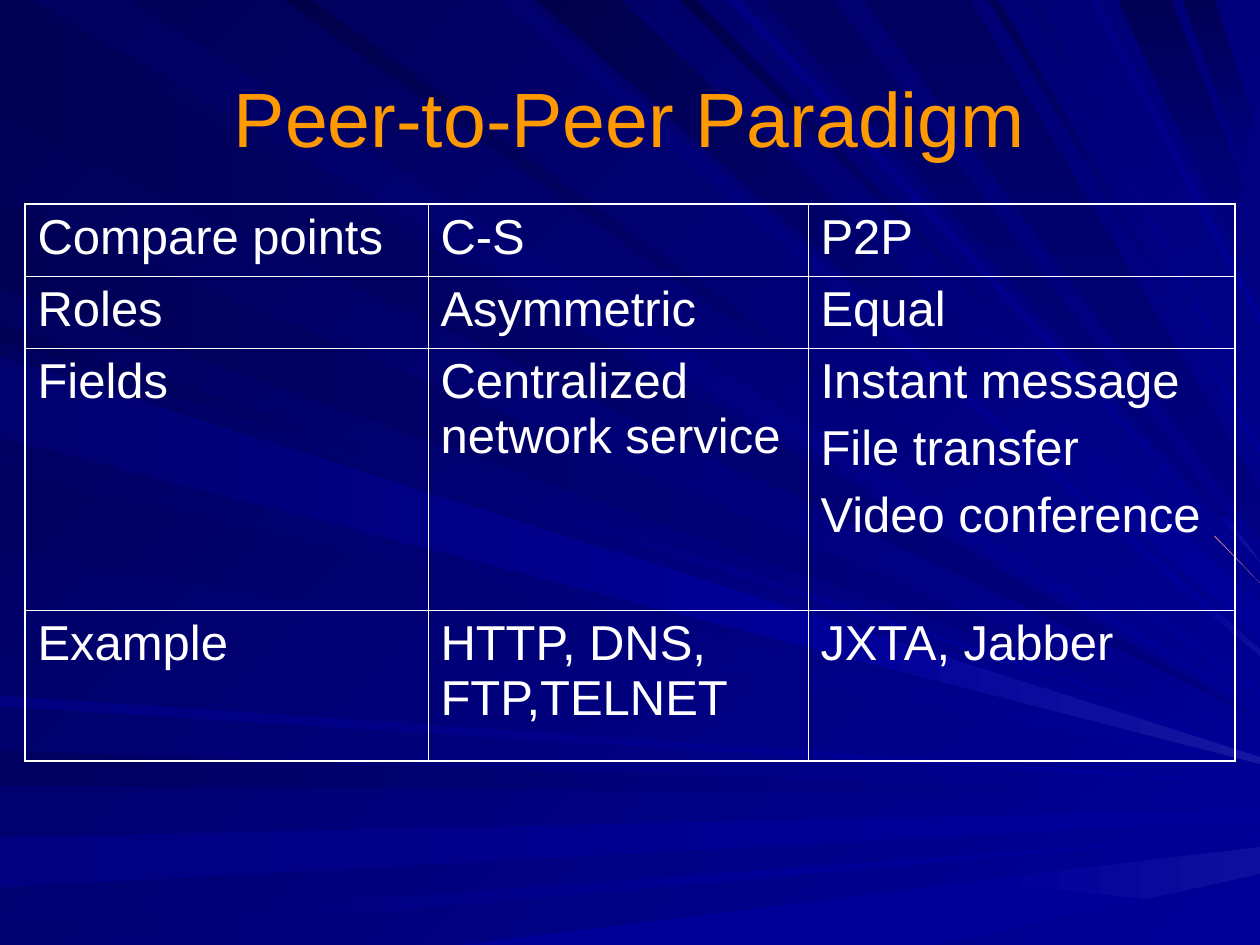
from lxml import etree
from pptx import Presentation
from pptx import util as u
from pptx.dml.color import RGBColor
from pptx.enum import text
from pptx.oxml.ns import qn

SCALE = 914400 / 126  # EMU in one px
WIDTH, HEIGHT = 1260, 945
FONT = "Arial"

WHITE = RGBColor.from_string("FFFFFF")
ORANGE = RGBColor.from_string("FF9900")
PINK = RGBColor.from_string("FF9999")
ROYAL = RGBColor.from_string("000099")
NAVY = RGBColor.from_string("000080")
MEDIUM = RGBColor.from_string("00006E")
DIM = RGBColor.from_string("00005E")
DARK = RGBColor.from_string("000055")
DARKEST = RGBColor.from_string("00004A")
GLOW = RGBColor.from_string("1616A1")
SOFT_GLOW = RGBColor.from_string("0E0E9E")

# Gradient directions, counter-clockwise degrees
TO_LEFT, TO_TOP_LEFT, DOWN = 180, 135, 270

# Share of a ray's length at which its tip begins
LONG_TIP, TIP, SHORT_TIP = 0.65, 0.82, 0.92

# Each ray: the edge it leaves, its two ends there, its two ends on the right
# edge, its fill, and for some where the tip begins and the fill of the tip
RAYS = [
    ("left", (3, 117), (717, 718), (NAVY, DARK, TO_LEFT)),
    ("top", (127, 33), (708, 709), (ROYAL, DIM, TO_TOP_LEFT)),
    ("left", (751, 785), (795, 796), (NAVY, DIM, TO_LEFT),
     LONG_TIP, (ROYAL, NAVY, TO_LEFT)),
    ("left", (838, 887), (810, 820), (ROYAL, NAVY, TO_LEFT), TIP, ROYAL),
    ("left", (926, 945), (834, 834), (ROYAL, MEDIUM, TO_LEFT), LONG_TIP, ROYAL),
    ("bottom", (459, 935), (847, 874), ROYAL, LONG_TIP, (SOFT_GLOW, ROYAL, TO_LEFT)),
    ("left", (325, 340), (742, 742), (ROYAL, DARK, TO_TOP_LEFT), TIP, ROYAL),
    ("left", (200, 287), (736, 737), (NAVY, DARK, TO_LEFT),
     TIP, (ROYAL, NAVY, TO_LEFT)),
    ("top", (524, 501), (649, 656), (ROYAL, MEDIUM, TO_TOP_LEFT),
     SHORT_TIP, (SOFT_GLOW, ROYAL, TO_TOP_LEFT)),
    ("top", (620, 537), (604, 639), (ROYAL, DARKEST, TO_TOP_LEFT), SHORT_TIP, ROYAL),
    ("top", (696, 680), (583, 583), (ROYAL, DARKEST, TO_TOP_LEFT), SHORT_TIP, PINK),
    ("top", (833, 764), (561, 562), (DIM, NAVY, DOWN),
     SHORT_TIP, (GLOW, ROYAL, TO_TOP_LEFT)),
    ("top", (1172, 1118), (231, 299), (DARK, NAVY, DOWN), TIP, NAVY),
    ("top", (1215, 1183), (144, 210), (DARK, NAVY, DOWN), TIP, NAVY),
    ("left", (350, 431), (751, 759), (ROYAL, DIM, TO_TOP_LEFT)),
    ("left", (471, 551), (762, 764), (ROYAL, DIM, TO_TOP_LEFT)),
    ("left", (696, 706), (782, 785), (ROYAL, NAVY, TO_LEFT)),
    ("top", (311, 284), (689, 696), (ROYAL, DARKEST, TO_TOP_LEFT)),
    ("top", (741, 727), (571, 572), (ROYAL, NAVY, TO_TOP_LEFT)),
    ("top", (970, 864), (491, 539), (DIM, NAVY, DOWN)),
    ("top", (998, 989), (446, 454), (ROYAL, DARK, TO_TOP_LEFT)),
    ("top", (1038, 1027), (422, 423), (ROYAL, MEDIUM, TO_TOP_LEFT)),
    ("top", (1099, 1090), (314, 325), (ROYAL, NAVY, TO_TOP_LEFT)),
    ("left", (357, 437), (757, 764), (ROYAL, MEDIUM, TO_LEFT),
     LONG_TIP, (GLOW, ROYAL, TO_LEFT)),
]

OUTER_LINE, INNER_LINE = 1.08, 0.45
COLUMNS = [403, 380, 427]
ROWS = [72, 72, 262, 151]
COMPARISON = [
    ["Compare points", "C-S", "P2P"],
    ["Roles", "Asymmetric", "Equal"],
    ["Fields", "Centralized network service",
     "Instant message\nFile transfer\nVideo conference"],
    ["Example", "HTTP, DNS, FTP,TELNET", "JXTA, Jabber"],
]


def px(n):
    return u.Emu(round(n * SCALE))


def paint(fill, colour):
    """Fill with one colour, or with (first, last, direction)."""
    if isinstance(colour, RGBColor):
        fill.solid()
        fill.fore_color.rgb = colour
        return
    first, last, direction = colour
    fill.gradient()
    fill.gradient_angle = direction
    for stop, rgb in zip(fill.gradient_stops, (first, last)):
        stop.color.rgb = rgb


def add_polygon(slide, points, colour):
    builder = slide.shapes.build_freeform(*points[0], scale=SCALE)
    builder.add_line_segments(points[1:], close=True)
    sp = builder.convert_to_shape()
    sp.shadow.inherit = False
    sp.line.fill.background()
    paint(sp.fill, colour)


def between(start, end, share):
    return tuple(round(a + (b - a) * share) for a, b in zip(start, end))


def add_ray(slide, edge, near, far, colour, cut=1, tip=None):
    """Draw a wedge to the right edge, with its tip as a second piece."""
    place = {"left": lambda n: (0, n), "top": lambda n: (n, 0),
             "bottom": lambda n: (n, HEIGHT)}[edge]
    starts = [place(n) for n in near]
    ends = [(WIDTH, n) for n in far]
    cuts = [between(a, b, cut) for a, b in zip(starts, ends)]
    add_polygon(slide, starts + cuts[::-1], colour)
    if tip:
        add_polygon(slide, cuts + ends[::-1], tip)


def write(tf, words, size, colour, align=text.PP_ALIGN.LEFT, before=0):
    """Write one paragraph for each line of words."""
    tf.word_wrap = True
    for i, line in enumerate(words.split("\n")):
        p = tf.add_paragraph() if i else tf.paragraphs[0]
        p.alignment = align
        p.space_before = u.Pt(before)
        r = p.add_run()
        r.text = line
        r.font.name = FONT
        r.font.size = u.Pt(size)
        r.font.color.rgb = colour


def add_title(slide, words):
    tf = slide.shapes.add_textbox(px(63), px(38), px(1134), px(157)).text_frame
    tf.vertical_anchor = text.MSO_ANCHOR.MIDDLE
    write(tf, words, size=44, colour=ORANGE, align=text.PP_ALIGN.CENTER)


def add_border(cell, side, width):
    ln = etree.SubElement(cell._tc.get_or_add_tcPr(), qn("a:ln" + side),
                          w=str(u.Pt(width)))
    fill = etree.SubElement(ln, qn("a:solidFill"))
    etree.SubElement(fill, qn("a:srgbClr"), val=str(WHITE))


def add_comparison(slide):
    frame = slide.shapes.add_table(len(ROWS), len(COLUMNS), px(25), px(204),
                                   px(sum(COLUMNS)), px(sum(ROWS)))
    table = frame.table
    table.first_row = table.horz_banding = False
    for column, width in zip(table.columns, COLUMNS):
        column.width = px(width)
    for row, height in zip(table.rows, ROWS):
        row.height = px(height)
    for i, row in enumerate(COMPARISON):
        for j, words in enumerate(row):
            cell = table.cell(i, j)
            at_edge = {"L": j == 0, "R": j == len(COLUMNS) - 1,
                       "T": i == 0, "B": i == len(ROWS) - 1}
            for side, outer in at_edge.items():
                add_border(cell, side, OUTER_LINE if outer else INNER_LINE)
            cell.fill.background()
            write(cell.text_frame, words, size=28, colour=WHITE, before=7)


def main():
    prs = Presentation()
    prs.slide_width, prs.slide_height = px(WIDTH), px(HEIGHT)
    slide = prs.slides.add_slide(prs.slide_layouts[6])
    paint(slide.background.fill, (ROYAL, DARK, TO_TOP_LEFT))
    for ray in RAYS:
        add_ray(slide, *ray)
    add_title(slide, "Peer-to-Peer Paradigm")
    add_comparison(slide)
    prs.save("out.pptx")


if __name__ == "__main__":
    main()
